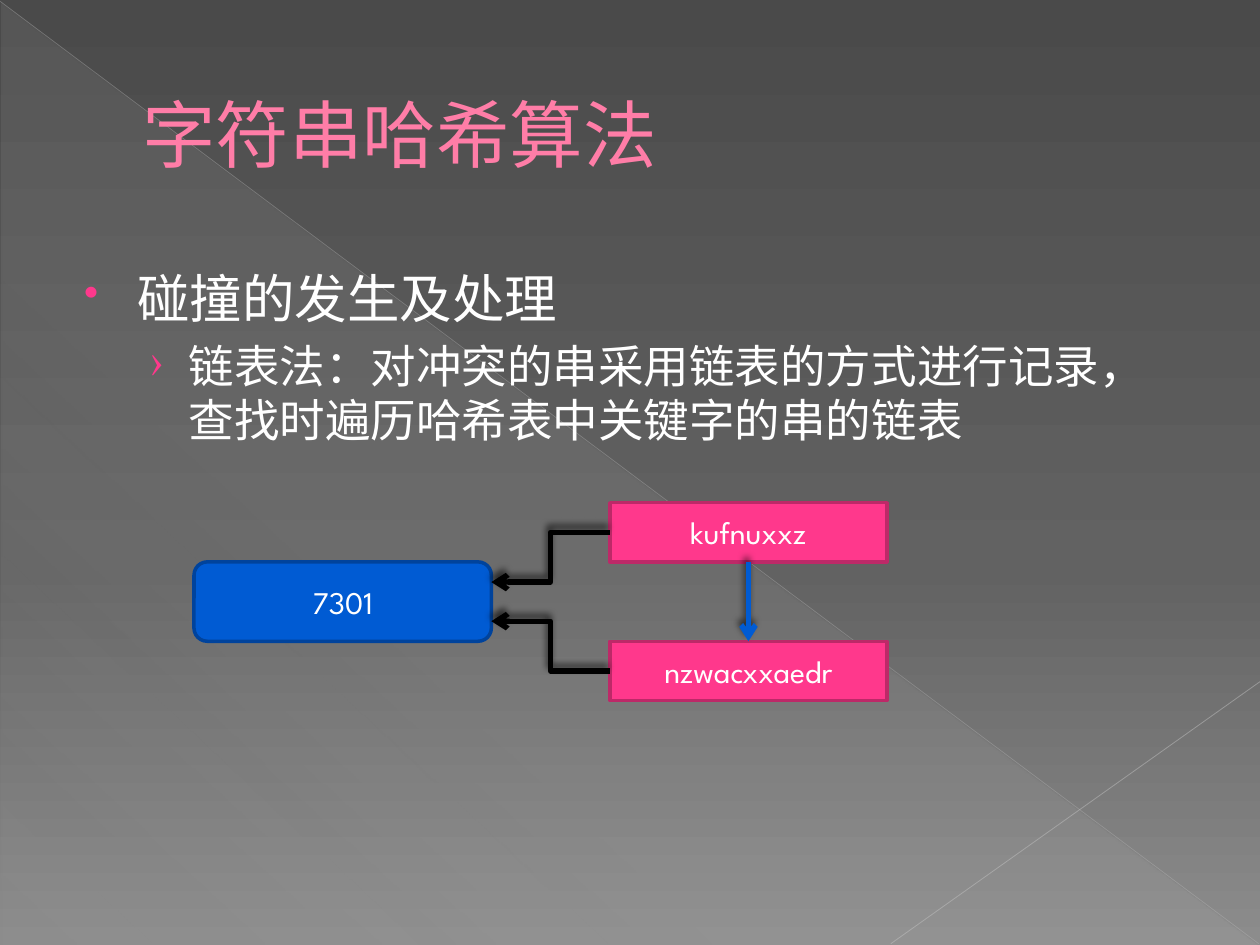
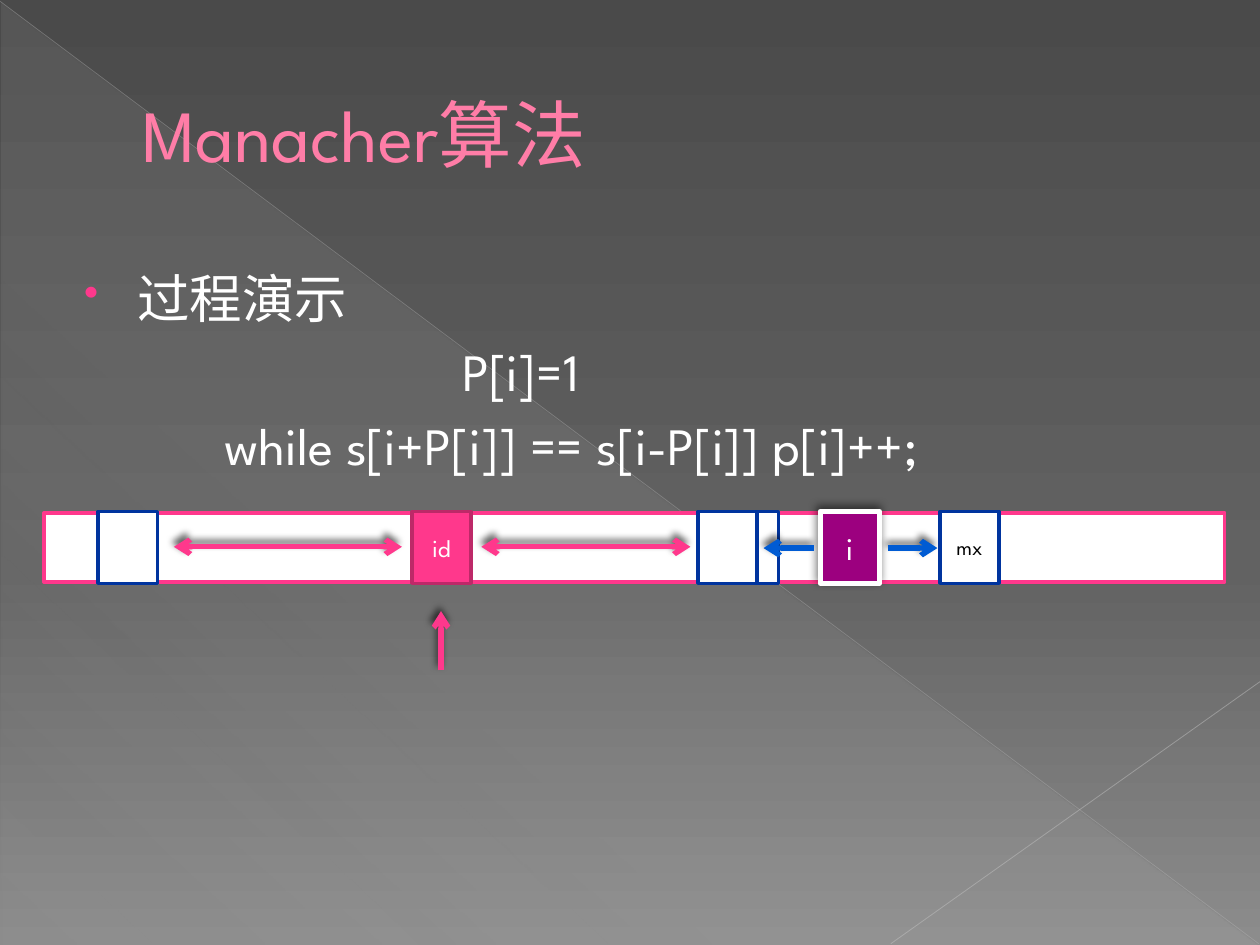
from pptx import Presentation
from pptx.dml.color import RGBColor
from pptx.enum.shapes import MSO_CONNECTOR, MSO_SHAPE
from pptx.enum.text import MSO_ANCHOR, PP_ALIGN
from pptx.oxml import parse_xml
from pptx.oxml.ns import qn
from pptx.util import Inches, Pt

RECTANGLE, ROUNDED = MSO_SHAPE.RECTANGLE, MSO_SHAPE.ROUNDED_RECTANGLE
TRIANGLE = MSO_SHAPE.RIGHT_TRIANGLE
STRAIGHT, ELBOW = MSO_CONNECTOR.STRAIGHT, MSO_CONNECTOR.ELBOW
MIDDLE, CENTER = MSO_ANCHOR.MIDDLE, PP_ALIGN.CENTER
BOTTOM_SITE, TOP_SITE = 2, 0

FONT = "League Spartan"
WHITE = RGBColor(0xFF, 0xFF, 0xFF)
BLACK = RGBColor(0x00, 0x00, 0x00)
PINK = RGBColor(0xFF, 0x38, 0x8C)
DARK_PINK = RGBColor(0xBD, 0x29, 0x68)
TITLE_PINK = RGBColor(0xFF, 0x7D, 0xA7)
BLUE = RGBColor(0x00, 0x5B, 0xD3)
DARK_BLUE = RGBColor(0x00, 0x43, 0x9C)
NAVY = RGBColor(0x00, 0x34, 0x9E)
PURPLE = RGBColor(0x9C, 0x00, 0x7F)
GREY = RGBColor(0xD2, 0xD2, 0xD2)
# Gradient stops: position %, colour, opacity %
BACKGROUND = [(0, RGBColor(0x4A, 0x4A, 0x4A), 100),
              (60, RGBColor(0x62, 0x62, 0x62), 100),
              (100, RGBColor(0x8C, 0x8C, 0x8C), 100)]
SHEEN = [(0, GREY, 10), (70, GREY, 8), (100, GREY, 1)]
# Start, end, colour, width, opacity %
DIAGONALS = [((0, 0.01), (9.99, 7.49), RGBColor(0xBF, 0xBF, 0xBF), 0.39, 35),
             ((10, 5.41), (7.07, 7.49), RGBColor(0xC6, 0xC6, 0xC6), 0.47, 45)]

# Paragraph style: size, left margin, first-line indent, bullet, bullet size %
STYLES = {"point": (30, 0.49, -0.42, "•", 80),
          "detail": (26, 0.9, -0.31, "›", 95),
          "assignment": (30, 3.07, 0, None, None),
          "loop": (30, 1.18, 0, None, None)}

HASH_TITLE = "字符串哈希算法"
HASH_BODY = [("point", "碰撞的发生及处理"),
             ("detail", "链表法：对冲突的串采用链表的方式进行记录，"
                        "查找时遍历哈希表中关键字的串的链表")]
HASH_KEYS = ["kufnuxxz", "nzwacxxaedr"]
HASH_VALUE = "7301"

MANACHER_TITLE = "Manacher算法"
MANACHER_BODY = [("point", "过程演示"),
                 ("assignment", "P[i]=1"),
                 ("loop", "while s[i+P[i]] == s[i-P[i]] p[i]++;")]
# Cell style: fill, line colour, line width, text colour, text size
CELL_STYLES = {"centre": (PINK, DARK_PINK, 2, WHITE, 14),
               "current": (PURPLE, WHITE, 3, WHITE, 18),
               "edge": (WHITE, NAVY, 2, BLACK, 12)}
# Layers from back to front; cells: left, style, text; arrows: start, end, colour, both ends
BACK_CELLS = [(3.27, "centre", "id"), (5.71, "edge", ""), (0.78, "edge", "")]
RADIUS_ARROWS = [((1.38, 4.34), (3.19, 4.34), PINK, True),
                 ((3.82, 4.34), (5.48, 4.34), PINK, True),
                 ((3.5, 5.32), (3.5, 4.85), PINK, False)]
CURRENT_CELL = [(6.51, "current", "i")]
MATCH_ARROWS = [((6.46, 4.35), (6.06, 4.35), BLUE, False),
                ((7.05, 4.35), (7.44, 4.35), BLUE, False)]
FRONT_CELLS = [(7.46, "edge", "mx"), (5.54, "edge", "")]


def drawing(tag, parent=None, **attributes):
    """Make a DrawingML element, appended to the parent if there is one."""
    element = parse_xml(
        f'<a:{tag} xmlns:a="http://schemas.openxmlformats.org/drawingml/2006/main"/>')
    for name, value in attributes.items():
        element.set(name, str(value))
    if parent is not None:
        parent.append(element)
    return element


def add_color(parent, color, opacity=100):
    element = drawing("srgbClr", parent, val=color)
    if opacity < 100:
        drawing("alpha", element, val=opacity * 1000)


def set_gradient(fill, properties, stops, angle):
    """Replace the default stops of a gradient fill."""
    fill.gradient()
    gradient = properties.find(".//" + qn("a:gradFill"))
    for child in list(gradient):
        gradient.remove(child)
    stop_list = drawing("gsLst", gradient)
    for position, color, opacity in stops:
        add_color(drawing("gs", stop_list, pos=position * 1000), color, opacity)
    drawing("lin", gradient, ang=angle * 60000, scaled=0)


def add_shadow(shape, opacity, blur, distance):
    properties = shape._element.spPr
    effects = properties.find(qn("a:effectLst"))
    if effects is None:
        effects = drawing("effectLst", properties)
    shadow = drawing("outerShdw", effects, blurRad=Pt(blur), dist=Pt(distance),
                     dir=245 * 60000, algn="ctr", rotWithShape=0)
    add_color(shadow, BLACK, opacity)


def format_runs(paragraph, size, color):
    for run in paragraph.runs:
        run.font.name = FONT
        run.font.size = Pt(size)
        run.font.color.rgb = color


def add_line(slide, kind, start, end, color, width):
    line = slide.shapes.add_connector(kind, *map(Inches, start + end))
    line.line.color.rgb = color
    line.line.width = Pt(width)
    return line


def add_arrow(slide, start, end, color, both_ends=False, kind=STRAIGHT):
    arrow = add_line(slide, kind, start, end, color, 3)
    outline = arrow.line._get_or_add_ln()
    if both_ends:
        drawing("headEnd", outline, type="arrow")
    drawing("tailEnd", outline, type="arrow")
    add_shadow(arrow, 60, 4, 3)
    return arrow


def add_box(slide, kind, bounds, fill, line, width=2, text="", color=WHITE, size=18):
    box = slide.shapes.add_shape(kind, *map(Inches, bounds))
    box.shadow.inherit = False
    box.fill.solid()
    box.fill.fore_color.rgb = fill
    box.line.color.rgb = line
    box.line.width = Pt(width)
    if text:
        frame = box.text_frame
        frame.text = text
        frame.vertical_anchor = MIDDLE
        frame.paragraphs[0].alignment = CENTER
        format_runs(frame.paragraphs[0], size, color)
    return box


def set_indent(paragraph, margin, indent):
    properties = paragraph._p.get_or_add_pPr()
    properties.set("marL", str(Inches(margin)))
    properties.set("indent", str(Inches(indent)))
    return properties


def add_backdrop(slide):
    set_gradient(slide.background.fill, slide._element.cSld, BACKGROUND, 90)
    triangle = slide.shapes.add_shape(TRIANGLE, *map(Inches, (0.01, 0.02, 9.98, 7.48)))
    triangle.shadow.inherit = False
    set_gradient(triangle.fill, triangle._element.spPr, SHEEN, 133)
    triangle.line.fill.background()
    for start, end, color, width, opacity in DIAGONALS:
        line = add_line(slide, STRAIGHT, start, end, color, width)
        drawing("effectLst", line._element.spPr)
        line_color = line._element.spPr.find(".//" + qn("a:srgbClr"))
        drawing("alpha", line_color, val=opacity * 1000)


def add_text_frame(slide, bounds):
    frame = slide.shapes.add_textbox(*map(Inches, bounds)).text_frame
    frame.word_wrap = True
    return frame


def add_content_slide(presentation, title, body):
    slide = presentation.slides.add_slide(presentation.slide_layouts[6])
    add_backdrop(slide)
    title_frame = add_text_frame(slide, (0.5, 0.29, 9, 1.53))
    title_frame.vertical_anchor = MIDDLE
    title_frame.text = title
    set_indent(title_frame.paragraphs[0], 0.53, 0)
    format_runs(title_frame.paragraphs[0], 42, TITLE_PINK)

    body_frame = add_text_frame(slide, (0.5, 2.06, 9, 5))
    for index, (style, text) in enumerate(body):
        size, margin, indent, bullet, bullet_size = STYLES[style]
        paragraph = body_frame.add_paragraph() if index else body_frame.paragraphs[0]
        paragraph.text = text
        properties = set_indent(paragraph, margin, indent)
        if bullet:
            add_color(drawing("buClr", properties), PINK)
            drawing("buSzPct", properties, val=bullet_size * 1000)
            drawing("buChar", properties, char=bullet)
        paragraph.space_before = Pt(size * 0.2)
        format_runs(paragraph, size, WHITE)
    return slide


def build_hash_slide(presentation):
    slide = add_content_slide(presentation, HASH_TITLE, HASH_BODY)
    key_left, key_top, key_step, key_height = 4.84, 3.99, 1.1, 0.47
    keys = [add_box(slide, RECTANGLE,
                    (key_left, key_top + index * key_step, 2.2, key_height),
                    PINK, DARK_PINK, text=text)
            for index, text in enumerate(HASH_KEYS)]
    add_box(slide, ROUNDED, (1.54, 4.46, 2.36, 0.63), BLUE, DARK_BLUE, text=HASH_VALUE)
    for index, target in enumerate((4.62, 4.93)):
        middle = key_top + index * key_step + key_height / 2
        add_arrow(slide, (key_left, middle), (3.9, target), BLACK, kind=ELBOW)
    link = add_arrow(slide, (5.94, 4.46), (5.94, 5.09), BLUE)
    link.begin_connect(keys[0], BOTTOM_SITE)
    link.end_connect(keys[1], TOP_SITE)


def add_cells(slide, cells):
    for left, style, text in cells:
        fill, line, width, color, size = CELL_STYLES[style]
        cell = add_box(slide, RECTANGLE, (left, 4.06, 0.47, 0.57),
                       fill, line, width, text, color, size)
        if style == "current":
            add_shadow(cell, 50, 5, 2)


def add_arrows(slide, arrows):
    for arrow in arrows:
        add_arrow(slide, *arrow)


def build_manacher_slide(presentation):
    slide = add_content_slide(presentation, MANACHER_TITLE, MANACHER_BODY)
    add_box(slide, RECTANGLE, (0.35, 4.07, 9.37, 0.55), WHITE, PINK)
    add_cells(slide, BACK_CELLS)
    add_arrows(slide, RADIUS_ARROWS)
    add_cells(slide, CURRENT_CELL)
    add_arrows(slide, MATCH_ARROWS)
    add_cells(slide, FRONT_CELLS)


def main():
    presentation = Presentation()
    presentation.slide_width = Inches(10)
    presentation.slide_height = Inches(7.5)
    build_hash_slide(presentation)
    build_manacher_slide(presentation)
    presentation.save("out.pptx")


if __name__ == "__main__":
    main()
